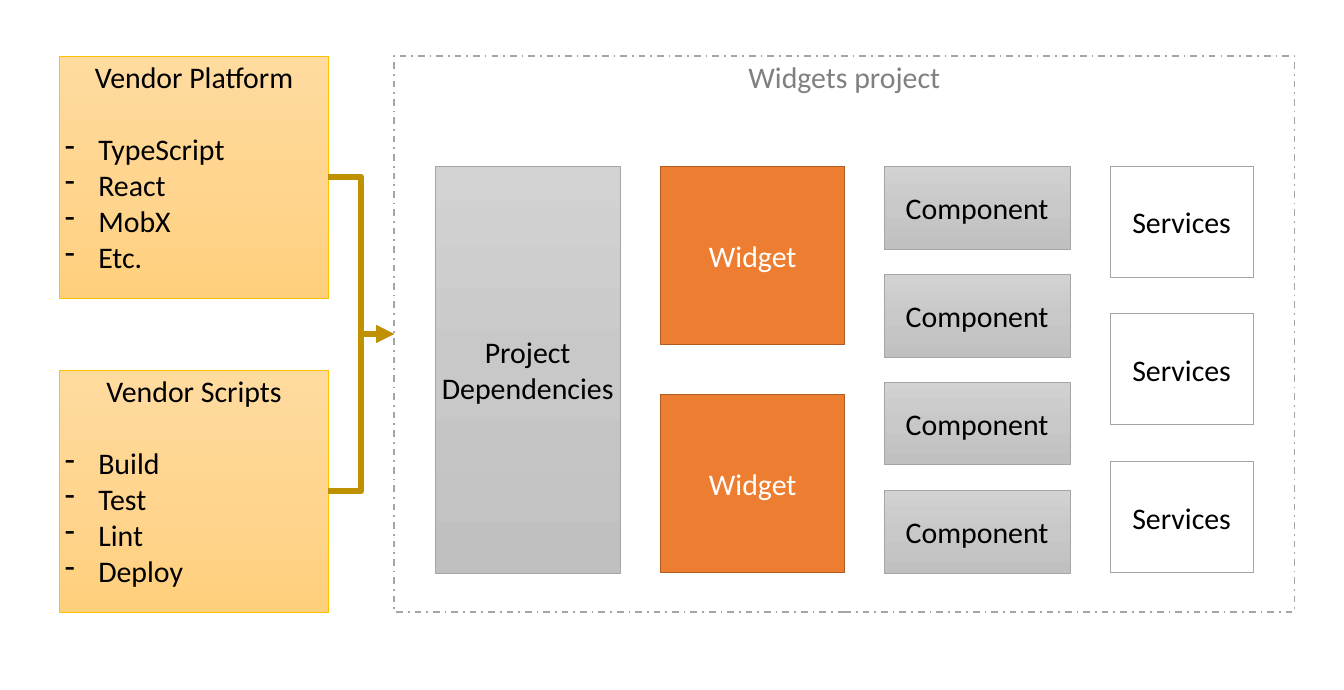
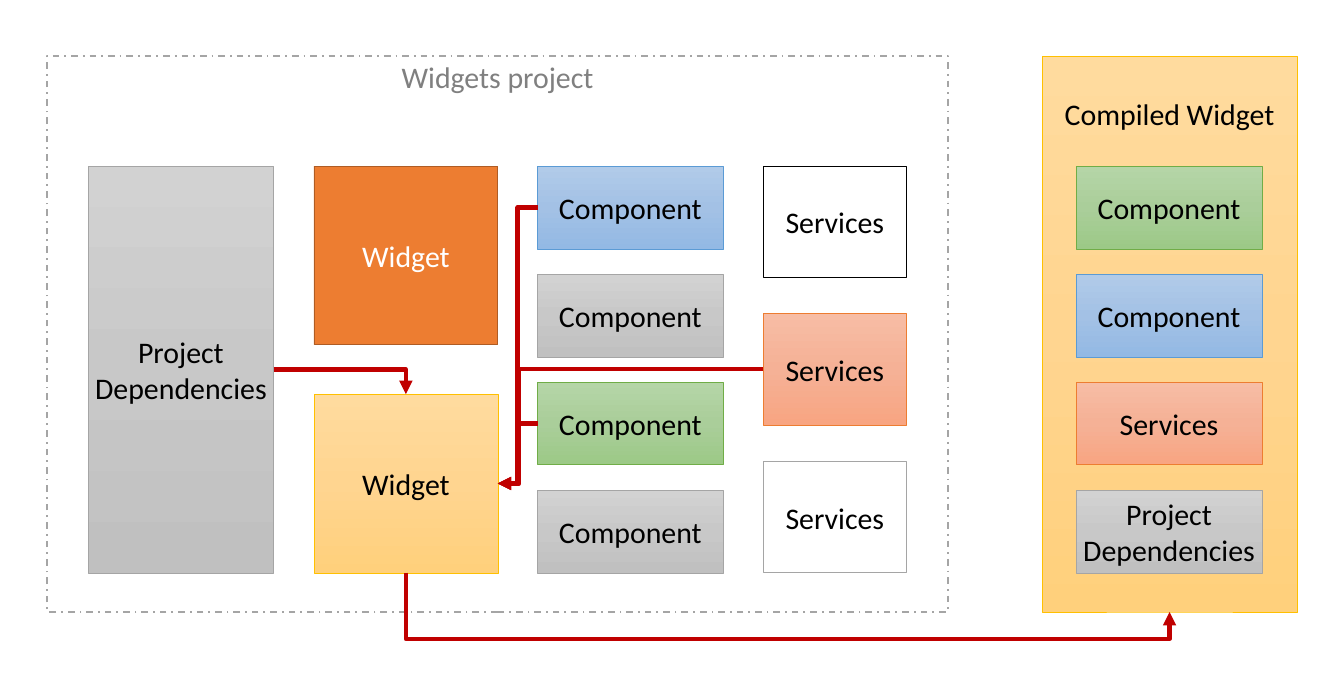
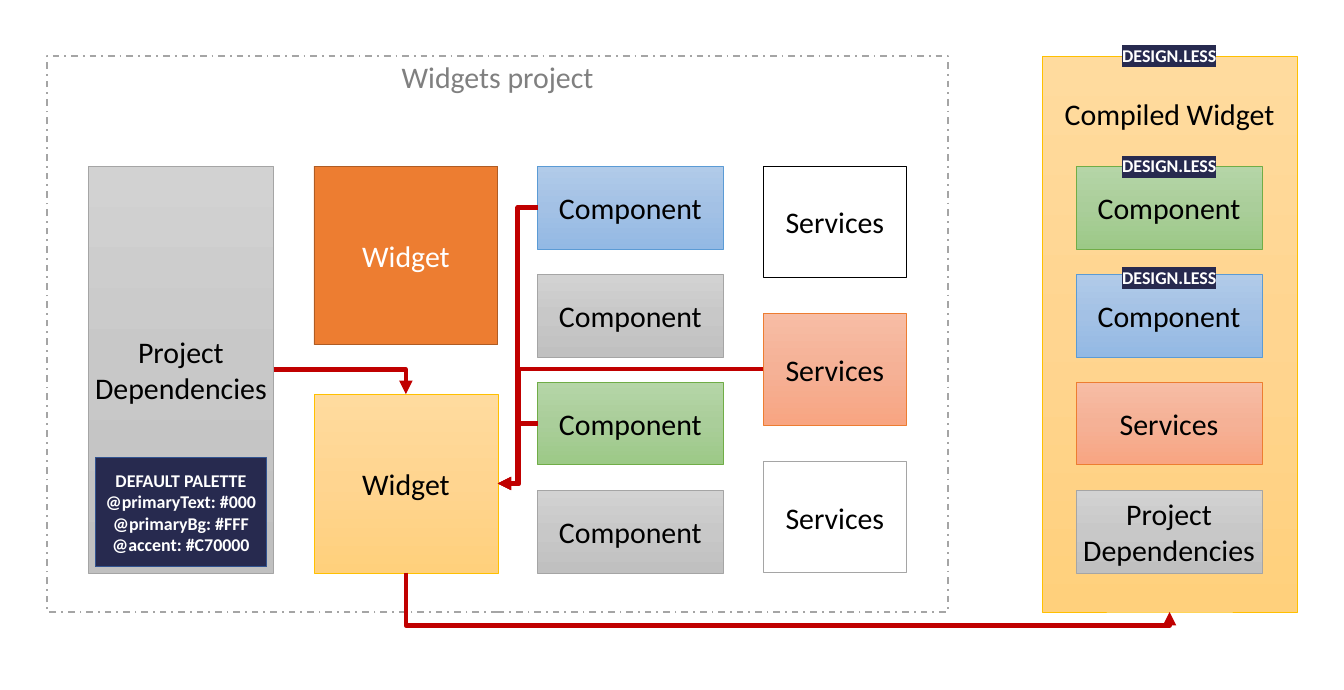
import copy
from collections import namedtuple

import lxml.etree
import pptx
import pptx.dml.color
import pptx.enum.dml
import pptx.enum.shapes
import pptx.enum.text
import pptx.oxml.ns
import pptx.util

PX = 9144  # 100 px to the inch
FONT = "Calibri"
TEXT_SIZE = 40
TAG_SIZE = 24

RGBColor = pptx.dml.color.RGBColor
qn = pptx.oxml.ns.qn
BLACK = RGBColor(0x00, 0x00, 0x00)
WHITE = RGBColor(0xFF, 0xFF, 0xFF)
GRAY = RGBColor(0xA5, 0xA5, 0xA5)
TITLE_GRAY = RGBColor(0x80, 0x80, 0x80)
NAVY = RGBColor(0x27, 0x2A, 0x4F)
NAVY_LINE = RGBColor(0x32, 0x54, 0x91)
ORANGE = RGBColor(0xED, 0x7D, 0x31)
ORANGE_LINE = RGBColor(0xAF, 0x5C, 0x24)
AMBER = RGBColor(0xFF, 0xC0, 0x00)
BLUE = RGBColor(0x5B, 0x9B, 0xD5)
GREEN = RGBColor(0x70, 0xAD, 0x47)
GOLD = RGBColor(0xBF, 0x90, 0x00)
RED = RGBColor(0xC0, 0x00, 0x00)


def gradient(*codes):
    return [RGBColor.from_string(code) for code in codes]


# A fill of three colours is a gradient from top to bottom.
BoxStyle = namedtuple("BoxStyle", "fill line line_width text")
FRAME = BoxStyle([WHITE], GRAY, 2.25, TITLE_GRAY)
PLAIN = BoxStyle([WHITE], GRAY, 1, BLACK)
OUTLINED = BoxStyle([WHITE], BLACK, 1, BLACK)
SOLID_ORANGE = BoxStyle([ORANGE], ORANGE_LINE, 1, WHITE)
SOLID_NAVY = BoxStyle([NAVY], NAVY_LINE, 1, WHITE)
SOFT_GRAY = BoxStyle(gradient("D2D2D2", "C8C8C8", "C0C0C0"), GRAY, 0.5, BLACK)
SOFT_AMBER = BoxStyle(gradient("FFDB9E", "FFD590", "FFD07C"), AMBER, 0.5, BLACK)
SOFT_BLUE = BoxStyle(gradient("B1CBE9", "A3C1E5", "93B9E4"), BLUE, 0.5, BLACK)
SOFT_GREEN = BoxStyle(gradient("B5D5A7", "AACE9A", "9CC987"), GREEN, 0.5, BLACK)
SOFT_SALMON = BoxStyle(gradient("F7BDA5", "F5B196", "F8A582"), ORANGE, 0.5, BLACK)

TOP, LEFT, BOTTOM, RIGHT = range(4)
PANEL_TOP, PANEL_HEIGHT = 104, 1034
GRID_TOP, GRID_HEIGHT = 309, 756
COMPONENT_WIDTH, COMPONENT_HEIGHT = 345, 154
DEPENDENCIES = ["Project", "Dependencies"]


def add_paragraph(frame, text, first=False, size=TEXT_SIZE, color=BLACK, bold=False,
                  highlight=None, bullet=None, space_before=None):
    paragraph = frame.paragraphs[0] if first else frame.add_paragraph()
    if bullet:
        properties = paragraph._p.get_or_add_pPr()
        properties.set("marL", str(62 * PX))
        properties.set("indent", str(-62 * PX))
        lxml.etree.SubElement(properties, qn("a:buChar"), char=bullet)
    paragraph.alignment = pptx.enum.text.PP_ALIGN.LEFT if bullet else pptx.enum.text.PP_ALIGN.CENTER
    if space_before:
        paragraph.space_before = pptx.util.Pt(space_before)
    run = paragraph.add_run()
    run.text = text
    run.font.size = pptx.util.Pt(size)
    run.font.bold = bold
    run.font.color.rgb = color
    if highlight:
        mark = lxml.etree.SubElement(run.font._element, qn("a:highlight"))
        lxml.etree.SubElement(mark, qn("a:srgbClr"), val=str(highlight))
    run.font.name = FONT


def paint(shape, colors):
    if len(colors) == 1:
        shape.fill.solid()
        shape.fill.fore_color.rgb = colors[0]
        return
    shape.fill.gradient()
    shape.fill.gradient_angle = 270
    stop_list = next(shape._element.iter(qn("a:gsLst")))
    stop_list.insert(1, copy.deepcopy(stop_list[0]))
    for index, (stop, color) in enumerate(zip(shape.fill.gradient_stops, colors)):
        stop.color.rgb = color
        stop.position = index / 2


def add_box(slide, left, top, width, height, lines, style, anchor="MIDDLE", **text_format):
    shape = slide.shapes.add_shape(pptx.enum.shapes.MSO_SHAPE.RECTANGLE,
                                   left * PX, top * PX, width * PX, height * PX)
    shape.shadow.inherit = False
    paint(shape, style.fill)
    shape.line.color.rgb = style.line
    shape.line.width = pptx.util.Pt(style.line_width)
    shape.text_frame.word_wrap = True
    shape.text_frame.vertical_anchor = getattr(pptx.enum.text.MSO_ANCHOR, anchor)
    for index, line in enumerate(lines):
        add_paragraph(shape.text_frame, line, first=index == 0, color=style.text, **text_format)
    return shape


def add_list_box(slide, top, title, items):
    shape = add_box(slide, 111, top, 500, 450, [title], SOFT_AMBER, anchor="TOP")
    for index, item in enumerate(items):
        add_paragraph(shape.text_frame, item, bullet="-", space_before=0 if index else 49)
    return shape


def add_column(slide, left, width, height, items):
    """Spread (lines, style) boxes evenly over the height of the grid."""
    step = (GRID_HEIGHT - height) / max(len(items) - 1, 1)
    return [add_box(slide, left, GRID_TOP + round(index * step), width, height, lines, style)
            for index, (lines, style) in enumerate(items)]


def add_project(slide, left, widgets, components, services):
    """Draw the project frame and its four columns, each given by its box styles."""
    frame = add_box(slide, left, PANEL_TOP, 1675, PANEL_HEIGHT, ["Widgets project"], FRAME, anchor="TOP")
    frame.line.dash_style = pptx.enum.dml.MSO_LINE.DASH_DOT
    widget_boxes = add_column(slide, left + 496, 342, 332, [(["Widget"], style) for style in widgets])
    service_boxes = add_column(slide, left + 1332, 266, 207, [(["Services"], style) for style in services])
    component_boxes = add_column(slide, left + 912, COMPONENT_WIDTH, COMPONENT_HEIGHT,
                                 [(["Component"], style) for style in components])
    dependencies, = add_column(slide, left + 76, COMPONENT_WIDTH, GRID_HEIGHT, [(DEPENDENCIES, SOFT_GRAY)])
    return frame, dependencies, widget_boxes, component_boxes, service_boxes


def add_elbow(slide, source, source_side, target, target_side, color, width, bend=0.5):
    """Join two boxes; bend is the share of the way at which the line turns."""
    connector = slide.shapes.add_connector(pptx.enum.shapes.MSO_CONNECTOR.ELBOW, 0, 0, 0, 0)
    connector.begin_connect(source, source_side)
    connector.end_connect(target, target_side)
    connector.line.color.rgb = color
    connector.line.width = pptx.util.Pt(width)
    lxml.etree.SubElement(connector.line._get_or_add_ln(), qn("a:tailEnd"), type="triangle")
    properties = connector._element.spPr
    lxml.etree.SubElement(properties, qn("a:effectLst"))
    geometry = properties.find(qn("a:prstGeom"))
    if target_side == TOP:
        geometry.set("prst", "bentConnector2")
    else:
        lxml.etree.SubElement(geometry.find(qn("a:avLst")), qn("a:gd"),
                              name="adj1", fmla=f"val {round(bend * 100000)}")
    return connector


def add_elbow_below(slide, source, target, low_point, color, width):
    """Join two bottom sides by a line that runs at low_point."""
    start = source.top + source.height
    rise = target.top + target.height - start
    connector = add_elbow(slide, source, BOTTOM, target, BOTTOM, color, width,
                          bend=(low_point * PX - start) / rise)
    span, center = connector.width, connector.left + connector.width // 2
    connector.left, connector.top = center - rise // 2, start + rise // 2 - span // 2
    connector.width, connector.height = rise, span
    transform = connector._element.spPr.find(qn("a:xfrm"))
    transform.set("rot", "16200000")
    transform.set("flipH", "1")


def add_tag(slide, top):
    box = slide.shapes.add_textbox(2076 * PX, top * PX, 198 * PX, 50 * PX)
    box.text_frame.word_wrap = False
    box.text_frame.auto_size = pptx.enum.text.MSO_AUTO_SIZE.SHAPE_TO_FIT_TEXT
    add_paragraph(box.text_frame, "DESIGN.LESS", first=True, size=TAG_SIZE, color=WHITE,
                  bold=True, highlight=NAVY)


def add_compiled_widget(slide):
    panel = add_box(slide, 1938, PANEL_TOP, 475, PANEL_HEIGHT, ["Compiled Widget"], SOFT_AMBER, anchor="TOP")
    panel.text_frame.margin_top = 73 * PX
    add_column(slide, 2002, COMPONENT_WIDTH, COMPONENT_HEIGHT, [
        (["Component"], SOFT_GREEN), (["Component"], SOFT_BLUE),
        (["Services"], SOFT_SALMON), (DEPENDENCIES, SOFT_GRAY)])
    return panel


def build_structure_slide(slide):
    platform = add_list_box(slide, 104, "Vendor Platform", ["TypeScript", "React", "MobX", "Etc."])
    scripts = add_list_box(slide, 688, "Vendor Scripts", ["Build", "Test", "Lint", "Deploy"])
    frame, *_ = add_project(slide, 733, [SOLID_ORANGE] * 2, [SOFT_GRAY] * 4, [PLAIN] * 3)
    for source in (platform, scripts):
        add_elbow(slide, source, RIGHT, frame, LEFT, GOLD, 8)


def build_compile_slide(slide, low_point):
    _, dependencies, widgets, components, services = add_project(
        slide, 88, [SOLID_ORANGE, SOFT_AMBER],
        [SOFT_BLUE, SOFT_GRAY, SOFT_GREEN, SOFT_GRAY], [OUTLINED, SOFT_SALMON, PLAIN])
    panel = add_compiled_widget(slide)
    widget = widgets[1]
    add_elbow_below(slide, widget, panel, low_point, RED, 6)
    for source, bend in ((components[0], 0.5), (components[2], 0.5), (services[1], 0.92)):
        add_elbow(slide, source, LEFT, widget, RIGHT, RED, 6, bend)
    add_elbow(slide, dependencies, RIGHT, widget, TOP, RED, 6)


def add_design_layer(slide):
    for top in (78, 283, 490):
        add_tag(slide, top)
    add_box(slide, 177, 851, 319, 203,
            ["DEFAULT PALETTE", "@primaryText: #000", "@primaryBg: #FFF", "@accent: #C70000"],
            SOLID_NAVY, size=TAG_SIZE, bold=True)


def main():
    presentation = pptx.Presentation()
    presentation.slide_width = 2500 * PX
    presentation.slide_height = 1283 * PX
    blank = presentation.slide_layouts[6]
    structure, compiled, designed = [presentation.slides.add_slide(blank) for _ in range(3)]
    build_structure_slide(structure)
    build_compile_slide(compiled, low_point=1188)
    build_compile_slide(designed, low_point=1163)
    add_design_layer(designed)
    presentation.save("out.pptx")


if __name__ == "__main__":
    main()
